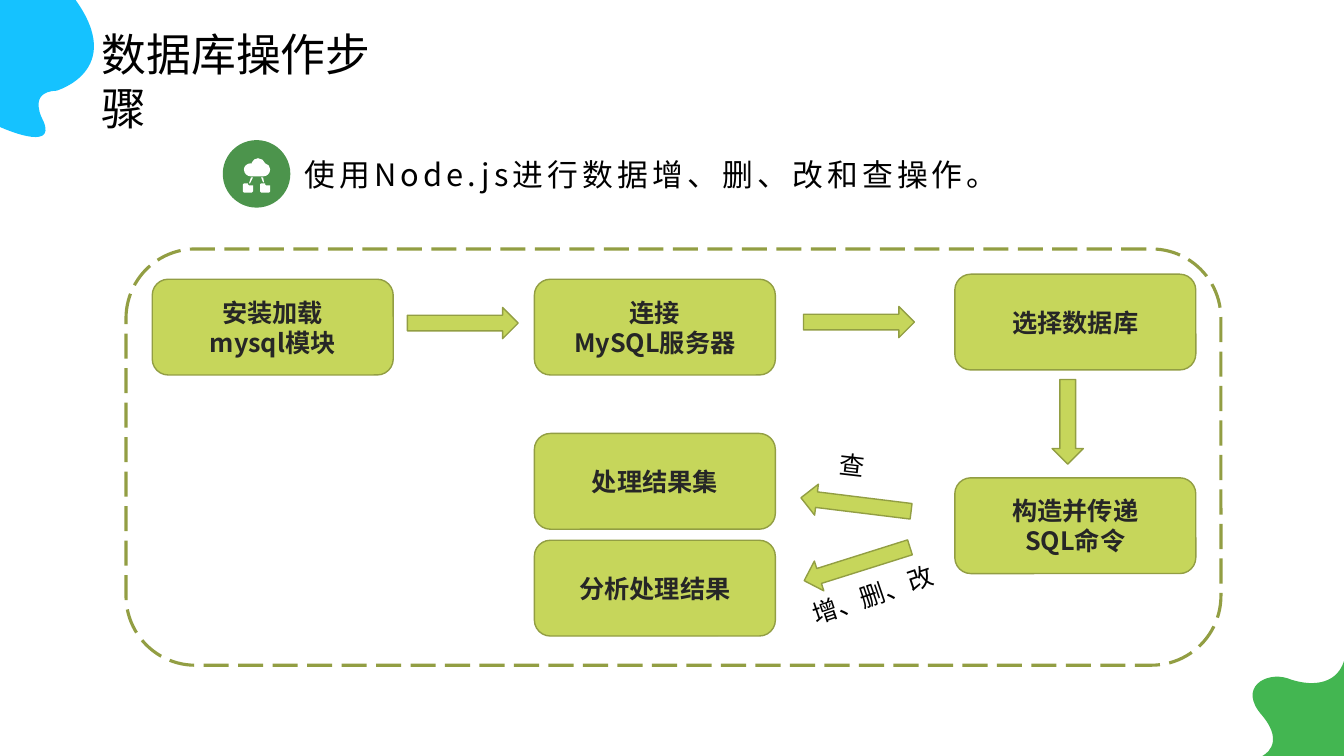
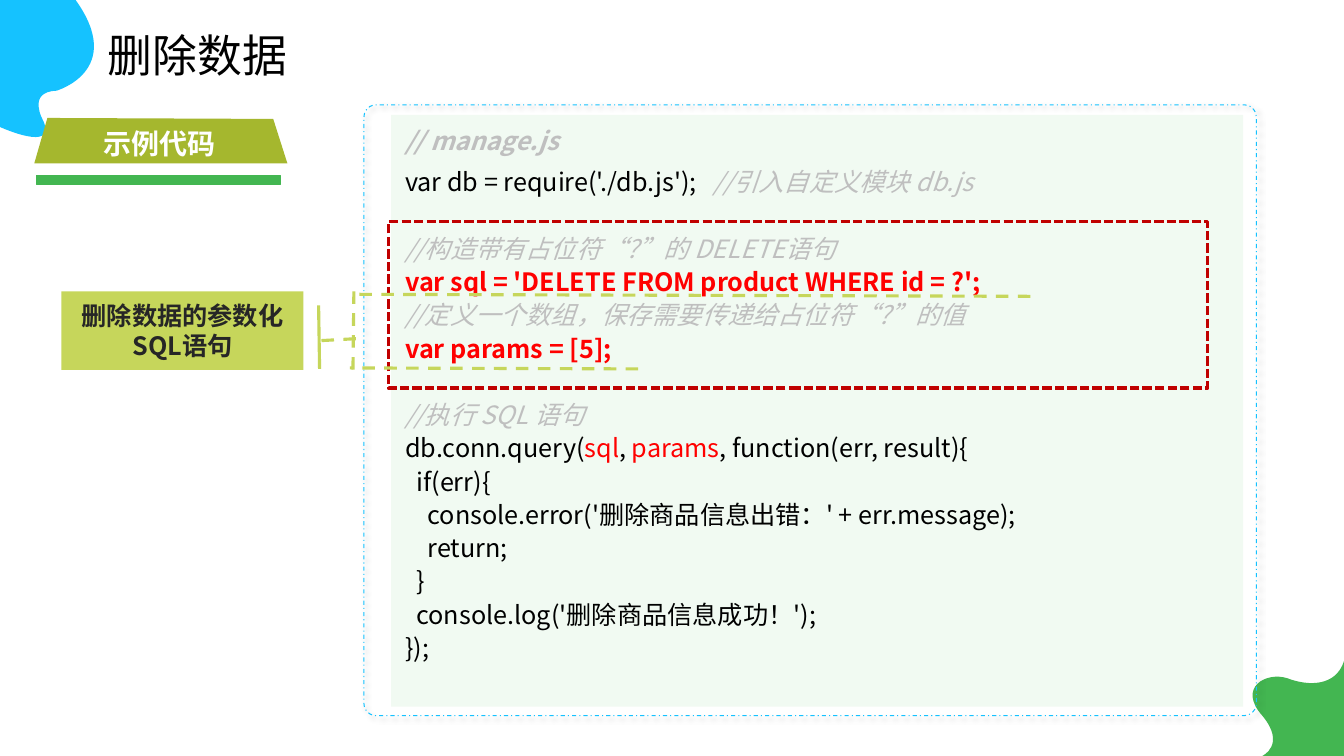
from lxml import etree
from pptx import Presentation
from pptx import util as u
from pptx.dml.color import RGBColor
from pptx.enum import dml, shapes, text
from pptx.oxml import ns

FONT = "Noto Sans CJK SC"
COLORS = {
    "black": "000000", "dark": "262626", "white": "FFFFFF", "gray": "BFBFBF",
    "red": "FF0000", "crimson": "C00000", "lime": "C6D65B", "olive": "929E43",
    "banner": "A5B72E", "sky": "15C2FF", "green": "43B651", "badge": "4C944C",
    "mint": "7DCF87",
}
KIND = shapes.MSO_SHAPE
DASH = dml.MSO_LINE
CENTER = text.PP_ALIGN.CENTER

# Outlines: each part is a start point, then lines (2 numbers) or curves (6)
SKY_BLOB = [[(0, 1.26), (0, 1.26, 0.57, 1.52, 0.43, 1.2),
             (0.43, 1.2, 0.26, 0.91, 0.56, 0.9),
             (0.56, 0.9, 1.25, 0.7, 0.75, 0), (0, 0, 0, 0, 0, 0)]]
GREEN_BLOB = [[(12.52, 7.5), (12.52, 7.5, 12.76, 7.39, 12.52, 7.1),
               (12.27, 6.82, 12.56, 6.66, 12.77, 6.73),
               (12.98, 6.81, 13.25, 6.81, 13.33, 6.56),
               (13.33, 7.5, 13.33, 7.5, 13.33, 7.5)]]
BANNER = [[(0.47, 1.17), (2.71, 1.18), (2.85, 1.62), (0.34, 1.62)]]
SERVERS = [[(x + 0.01, 1.82), (x + 0.05, 1.82), (x + 0.05, 1.83),
            (x + 0.05, 1.83, x + 0.05, 1.84, x + 0.06, 1.84),
            (x + 0.1, 1.84), (x + 0.1, 1.9),
            (x + 0.1, 1.91, x + 0.1, 1.91, x + 0.09, 1.91), (x + 0.01, 1.91),
            (x + 0.01, 1.91, x, 1.91, x, 1.9), (x, 1.83),
            (x, 1.82, x + 0.01, 1.82, x + 0.01, 1.82)] for x in (2.58, 2.41)]
CLOUD_ICON = SERVERS + [
    [(2.59, 1.76), (2.61, 1.76), (2.62, 1.81), (2.61, 1.81)],
    [(2.49, 1.76), (2.51, 1.76), (2.48, 1.82), (2.47, 1.82)],
    [(2.56, 1.57), (2.59, 1.57, 2.62, 1.59, 2.63, 1.62),
     (2.66, 1.63, 2.68, 1.65, 2.68, 1.68),
     (2.68, 1.72, 2.65, 1.75, 2.61, 1.75), (2.49, 1.75),
     (2.45, 1.75, 2.42, 1.72, 2.42, 1.68),
     (2.42, 1.65, 2.45, 1.62, 2.49, 1.62), (2.5, 1.62), (2.5, 1.61),
     (2.51, 1.59, 2.53, 1.57, 2.56, 1.57)],
]


def rgb(name):
    return RGBColor.from_string(COLORS[name])


def add_text(p, content, size=18, color="black", bold=False, italic=False,
             spacing=0):
    r = p.add_run()
    r.text = content
    r.font.name, r.font.size = FONT, u.Pt(size)
    r.font.bold, r.font.italic = bold, italic
    r.font.color.rgb = rgb(color)
    rPr = r._r.get_or_add_rPr()
    etree.SubElement(rPr, ns.qn("a:ea")).set("typeface", FONT)
    if spacing:
        rPr.set("spc", str(spacing * 100))


def bend(sp, segments):
    """Join the three points of each curve segment into one Bezier curve."""
    points = iter(list(sp._element.iter(ns.qn("a:lnTo"))))
    for seg in segments:
        first = next(points)
        if len(seg) == 6:
            first.tag = ns.qn("a:cubicBezTo")
            for _ in range(2):
                extra = next(points)
                first.append(extra[0])
                extra.getparent().remove(extra)


class Deck:
    def __init__(self):
        self.prs = Presentation()
        self.prs.slide_width = u.Inches(13.33)
        self.prs.slide_height = u.Inches(7.5)
        self.s = None

    def slide(self, title, x, y, width):
        self.s = self.prs.slides.add_slide(self.prs.slide_layouts[6])
        self.outline(SKY_BLOB, "sky")
        self.outline(GREEN_BLOB, "green")
        self.label(title, x, y, width, 0.64, size=32)

    def paint(self, sp, fill=None, line=None, weight=1, dash=None):
        sp.shadow.inherit = False
        if fill:
            sp.fill.solid()
            sp.fill.fore_color.rgb = rgb(fill)
        else:
            sp.fill.background()
        if line:
            sp.line.color.rgb = rgb(line)
            sp.line.width = u.Pt(weight)
            if dash:
                sp.line.dash_style = dash
        else:
            sp.line.fill.background()
        return sp

    def shape(self, kind, x, y, w, h, rotation=0, **style):
        sp = self.s.shapes.add_shape(
            kind, u.Inches(x), u.Inches(y), u.Inches(w), u.Inches(h))
        sp.rotation = rotation
        return self.paint(sp, **style)

    def outline(self, parts, fill):
        builder = None
        for start, *segments in parts:
            x, y = (u.Inches(v) for v in start)
            if builder is None:
                builder = self.s.shapes.build_freeform(x, y)
            else:
                builder.move_to(x, y)
            builder.add_line_segments(
                [(u.Inches(seg[i]), u.Inches(seg[i + 1]))
                 for seg in segments for i in range(0, len(seg), 2)],
                close=False)
            builder.add_line_segments([], close=True)
        sp = builder.convert_to_shape()
        bend(sp, [seg for part in parts for seg in part[1:]])
        return self.paint(sp, fill)

    def box(self, lines, kind, x, y, w, h, **style):
        sp = self.shape(kind, x, y, w, h, fill="lime", **style)
        tf = sp.text_frame
        tf.word_wrap = True
        tf.vertical_anchor = text.MSO_ANCHOR.MIDDLE
        for i, line in enumerate(lines):
            p = tf.add_paragraph() if i else tf.paragraphs[0]
            p.alignment = CENTER
            add_text(p, line, color="dark", bold=True)

    def textbox(self, x, y, w, h, wrap=True):
        sp = self.s.shapes.add_textbox(
            u.Inches(x), u.Inches(y), u.Inches(w), u.Inches(h))
        sp.text_frame.word_wrap = wrap
        return sp

    def label(self, content, x, y, w, h, rotation=0, align=None, wrap=True,
              **fmt):
        sp = self.textbox(x, y, w, h, wrap)
        sp.rotation = rotation
        sp.text_frame.auto_size = text.MSO_AUTO_SIZE.SHAPE_TO_FIT_TEXT
        p = sp.text_frame.paragraphs[0]
        p.alignment = align
        add_text(p, content, **fmt)

    def code(self, lines, x, y, w, h):
        """Each line is (space before, [(text, format), ...])."""
        tf = self.textbox(x, y, w, h).text_frame
        for i, (gap, runs) in enumerate(lines):
            p = tf.add_paragraph() if i else tf.paragraphs[0]
            if i:
                p.line_spacing = 1.1
            else:
                p.space_after = u.Pt(6)
            if gap:
                p.space_before = u.Pt(gap)
            for content, fmt in runs:
                add_text(p, content, **fmt)

    def line(self, x1, y1, x2, y2, dash=None):
        c = self.s.shapes.add_connector(
            shapes.MSO_CONNECTOR.STRAIGHT,
            u.Inches(x1), u.Inches(y1), u.Inches(x2), u.Inches(y2))
        c.line.color.rgb = rgb("lime")
        c.line.width = u.Pt(2.25)
        if dash:
            c.line.dash_style = dash
        etree.SubElement(c._element.spPr, ns.qn("a:effectLst"))


def set_alpha(color_parent, percent):
    clr = color_parent.find(".//" + ns.qn("a:srgbClr"))
    etree.SubElement(clr, ns.qn("a:alpha")).set("val", str(percent * 1000))


def add_shadow(sp):
    effects = sp._element.spPr.find(ns.qn("a:effectLst"))
    shadow = etree.SubElement(effects, ns.qn("a:outerShdw"), blurRad=str(u.Pt(4)),
                              dist=str(u.Pt(3)), dir=str(45 * 60000))
    etree.SubElement(shadow, ns.qn("a:srgbClr"), val=COLORS["black"])
    set_alpha(shadow, 40)


def steps_slide(d):
    d.slide("数据库操作步骤", 0.91, 0.22, 3.2)

    # Lead sentence with its badge
    d.shape(KIND.OVAL, 2.21, 1.39, 0.67, 0.67, fill="badge")
    d.outline(CLOUD_ICON, "white")
    d.label("使用Node.js进行数据增、删、改和查操作。", 2.92, 1.5, 8.2, 0.47,
            size=22, spacing=3)

    # Steps
    left, middle, right = 1.51, 5.3, 9.47
    for x, y, lines in [
        (left, 2.77, ["安装加载", "mysql模块"]),
        (middle, 2.77, ["连接", "MySQL服务器"]),
        (middle, 4.3, ["处理结果集"]),
        (middle, 5.36, ["分析处理结果"]),
        (right, 2.72, ["选择数据库"]),
        (right, 4.74, ["构造并传递", "SQL命令"]),
    ]:
        d.box(lines, KIND.ROUNDED_RECTANGLE, x, y, 2.39, 0.95, line="olive")

    # Arrows between steps
    for x, y, length, angle in [(4.04, 3.05, 1.1, 0), (7.97, 3.04, 1.1, 0),
                                (10.17, 4.03, 0.84, 90),
                                (7.94, 4.85, 1.1, 187),
                                (7.95, 5.44, 1.1, 162.5)]:
        d.shape(KIND.RIGHT_ARROW, x, y, length, 0.31, rotation=angle,
                fill="lime", line="olive")
    d.label("查", 7.28, 4.41, 2.35, 0.4, rotation=6.6, align=CENTER)
    d.label("增、删、改", 7.48, 5.7, 2.35, 0.4, rotation=341.2, align=CENTER)

    # Frame around the flow
    d.shape(KIND.ROUNDED_RECTANGLE, 1.25, 2.47, 10.86, 4.13,
            line="olive", weight=2.25, dash=DASH.LONG_DASH)


def delete_slide(d):
    d.slide("删除数据", 0.97, 0.23, 2.11)

    # Code panel
    panel = d.shape(KIND.RECTANGLE, 3.88, 1.14, 8.45, 5.87, fill="mint")
    set_alpha(panel._element.spPr, 10)
    frame = d.shape(KIND.ROUNDED_RECTANGLE, 3.61, 1.04, 8.85, 6.06,
                    line="sky", weight=0.75, dash=DASH.DASH_DOT)
    frame.adjustments[0] = 0.02
    add_shadow(frame)

    # Code; a blank line is a gap of one line height
    blank = 23.8
    plain, red = {}, {"color": "red"}
    note = {"color": "gray", "italic": True}
    key = {"color": "red", "bold": True}
    d.code([
        (0, [("// manage.js", {**note, "bold": True})]),
        (0, [("var db = require('./db.js');   ", plain),
             ("//引入自定义模块 db.js", note)]),
        (blank, [("//构造带有占位符“?”的 DELETE语句", note)]),
        (0, [("var sql = 'DELETE FROM product WHERE id = ?';", key)]),
        (0, [("//定义一个数组，保存需要传递给占位符“?”的值", note)]),
        (0, [("var params = [5];", key)]),
        (blank, [("//执行 SQL 语句", note)]),
        (0, [("db.conn.query(", plain), ("sql", red), (", ", plain),
             ("params", red), (", function(err, result){", plain)]),
        (0, [("  if(err){", plain)]),
        (0, [("    console.error('删除商品信息出错：' + err.message);", plain)]),
        (0, [("    return;", plain)]),
        (0, [("  }", plain)]),
        (0, [("  console.log('删除商品信息成功！');", plain)]),
        (0, [("});", plain)]),
    ], 3.92, 1.19, 8.54, 5.94)

    # Banner
    d.shape(KIND.RECTANGLE, 0.36, 1.74, 2.42, 0.09, fill="green", line="green")
    d.outline(BANNER, "banner")
    d.label("示例代码", 0.93, 1.21, 1.31, 0.44, wrap=False,
            size=20, color="white", bold=True)

    # Highlight and callout
    d.shape(KIND.RECTANGLE, 3.85, 2.2, 8.13, 1.65,
            line="crimson", weight=2.25, dash=DASH.SQUARE_DOT)
    d.box(["删除数据的参数化SQL语句"], KIND.RECTANGLE, 0.61, 2.89, 2.4, 0.78)
    for ends in [(10.22, 2.94, 3.53, 2.92), (3.51, 2.89, 3.5, 3.73),
                 (3.53, 3.36, 3.17, 3.38), (6.33, 3.66, 3.47, 3.65)]:
        d.line(*ends, dash=DASH.DASH)
    d.line(3.17, 3.66, 3.16, 3.03)


def main():
    d = Deck()
    steps_slide(d)
    delete_slide(d)
    d.prs.save("out.pptx")


if __name__ == "__main__":
    main()
